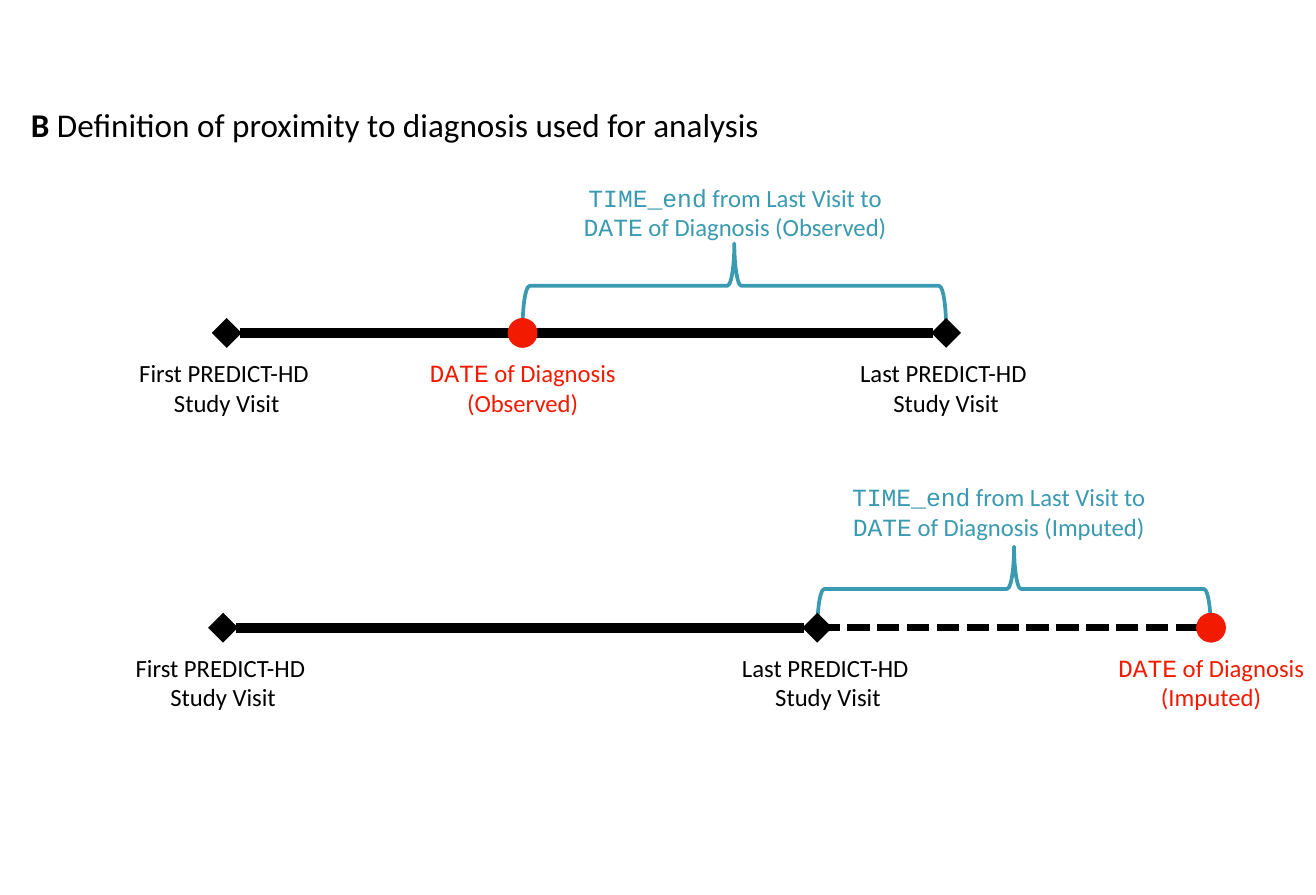
"""Build a slide that defines proximity to diagnosis on two study timelines."""
from lxml import etree
from pptx import Presentation
from pptx import util as u
from pptx.dml.color import RGBColor
from pptx.enum import dml, shapes, text
from pptx.oxml import ns

BLACK, RED, TEAL = "000000", "F21A00", "3A9AB2"
CODE = {"name": "Courier New"}
BOLD = {"bold": True}
PLAIN = {}


def color(value):
    return RGBColor.from_string(value)


def apply(target, values):
    for name, value in values.items():
        setattr(target, name, value)


class TimelineSlide:
    """Hold the text style and the slide, and add each kind of element."""

    def __init__(self, slide):
        self.shapes = slide.shapes
        self.style = {"name": "Calibri", "size": u.Pt(14.9), "bold": False}

    def label(self, box, paragraphs, ink, frame_format, align, **font_format):
        shape = self.shapes.add_textbox(*map(u.Inches, box))
        frame = shape.text_frame
        apply(frame, frame_format)
        for index, runs in enumerate(paragraphs):
            paragraph = frame.add_paragraph() if index else frame.paragraphs[0]
            paragraph.alignment = align
            for words, run_format in runs:
                run = paragraph.add_run()
                run.text = words
                apply(run.font, {**self.style, **font_format, **run_format})
                run.font.color.rgb = color(ink)

    def centered(self, center, top, width, paragraphs, ink, wrap=False):
        frame_format = {"word_wrap": wrap, "auto_size": text.MSO_AUTO_SIZE.SHAPE_TO_FIT_TEXT}
        self.label((center - width / 2, top, width, 0.6), paragraphs, ink,
                   frame_format, text.PP_ALIGN.CENTER)

    def line(self, start, end, y, width, dash=None, ends=None):
        connector = self.shapes.add_connector(
            shapes.MSO_CONNECTOR.STRAIGHT, *map(u.Inches, (start, y, end, y)))
        connector.line.color.rgb = color(BLACK)
        apply(connector.line, {"width": u.Pt(width), "dash_style": dash})
        properties = connector.element.spPr
        if ends:
            outline = properties.find(ns.qn("a:ln"))
            for tag in ("a:headEnd", "a:tailEnd"):
                etree.SubElement(outline, ns.qn(tag), type=ends)
        etree.SubElement(properties, ns.qn("a:effectLst"))

    def brace(self, start, end, top):
        depth, span = 0.71, end - start
        left = (start + end - depth) / 2
        shape = self.shapes.add_shape(
            shapes.MSO_SHAPE.RIGHT_BRACE,
            *map(u.Inches, (left, top + (depth - span) / 2, depth, span)))
        shape.rotation = 270
        shape.shadow.inherit = False
        shape.fill.background()
        shape.line.color.rgb = color(TEAL)
        shape.line.width = u.Pt(2.25)

    def dot(self, center, y):
        size = 0.25
        shape = self.shapes.add_shape(
            shapes.MSO_SHAPE.OVAL,
            *map(u.Inches, (center - size / 2, y - size / 2, size, size)))
        shape.shadow.inherit = False
        shape.fill.solid()
        shape.fill.fore_color.rgb = color(RED)
        shape.line.fill.background()

    def timeline(self, y, first, last, diagnosis, kind, last_label, brace_top,
                 caption, caption_width):
        self.brace(min(last, diagnosis), max(last, diagnosis), brace_top)
        if diagnosis > last:
            self.line(last, diagnosis, y, 4.5, dash=dml.MSO_LINE.SQUARE_DOT)
        self.line(first, last, y, 6, ends="diamond")
        self.dot(diagnosis, y)
        label_top = y + 0.16
        for center, width, order in ((first, 1.68, "First"), (last_label, 1.66, "Last")):
            self.centered(center, label_top, width,
                          [[(f"{order} PREDICT-HD ", PLAIN)], [("Study Visit", PLAIN)]], BLACK)
        self.centered(diagnosis, label_top, 1.78,
                      [[("DATE", CODE), (" of Diagnosis", PLAIN)], [(f"({kind})", PLAIN)]], RED)
        self.centered(*caption, caption_width,
                      [[("TIME_end", CODE), (" from Last Visit to ", PLAIN),
                        ("DATE", CODE), (f" of Diagnosis ({kind})", PLAIN)]], TEAL, wrap=True)


def main():
    presentation = Presentation()
    apply(presentation, {"slide_width": u.Inches(11.03), "slide_height": u.Inches(7.5)})
    slide = TimelineSlide(presentation.slides.add_slide(presentation.slide_layouts[6]))
    slide.label((0.16, 0.84, 10.68, 0.4),
                [[("B", BOLD), (" Definition of proximity to diagnosis used for analysis", PLAIN)]],
                BLACK, {"word_wrap": True, "vertical_anchor": text.MSO_ANCHOR.MIDDLE},
                text.PP_ALIGN.LEFT, size=u.Pt(20))
    slide.timeline(y=2.79, first=1.9, last=7.93, diagnosis=4.38, kind="Observed",
                   last_label=7.93, brace_top=2.04, caption=(6.16, 1.48), caption_width=2.95)
    slide.timeline(y=5.26, first=1.87, last=6.85, diagnosis=10.15, kind="Imputed",
                   last_label=6.94, brace_top=4.58, caption=(8.37, 3.99), caption_width=2.86)
    presentation.save("out.pptx")


if __name__ == "__main__":
    main()
